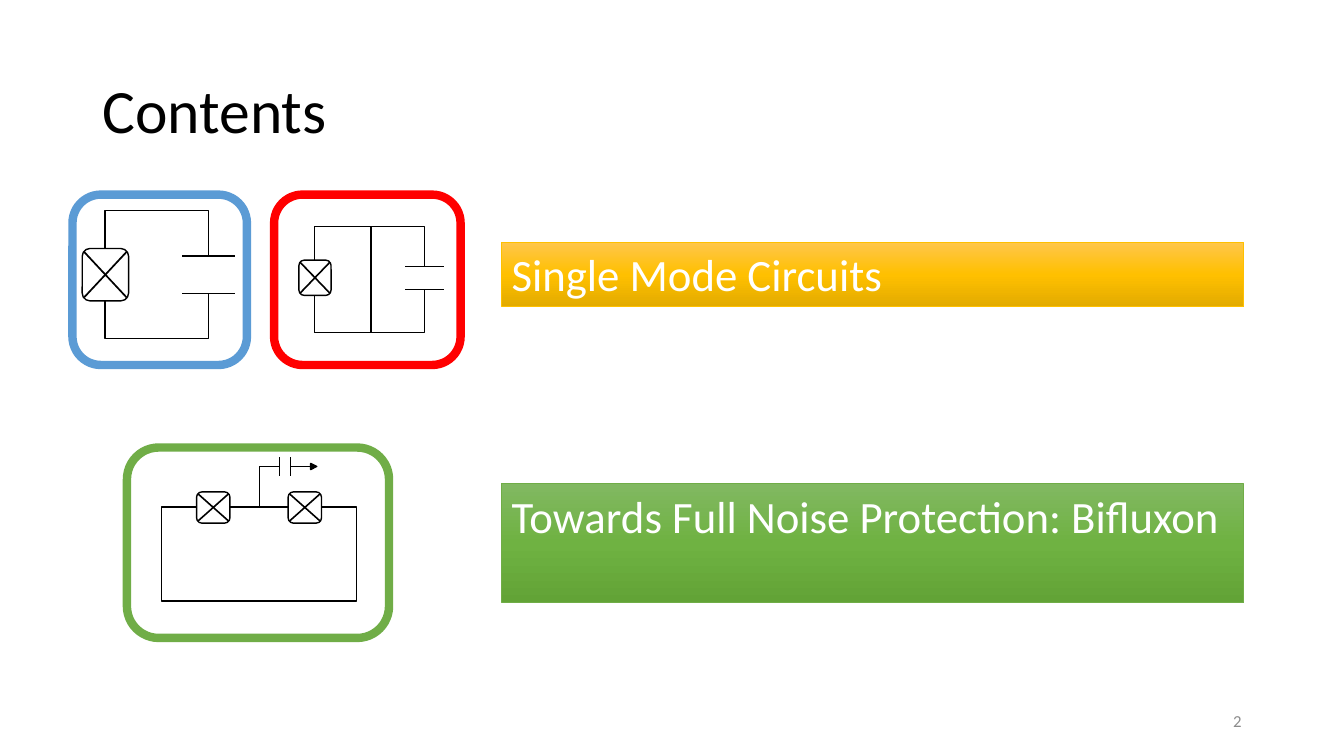
"""Build the contents slide with three circuit sketches and two topic bars."""
import copy

import pptx
import pptx.dml.color
import pptx.enum.shapes
import pptx.enum.text
import pptx.oxml.ns
import pptx.util
from lxml import etree

Pt = pptx.util.Pt
RGB = pptx.dml.color.RGBColor
SHAPE = pptx.enum.shapes.MSO_SHAPE
ANCHOR = pptx.enum.text.MSO_ANCHOR
ALIGN = pptx.enum.text.PP_ALIGN
qn = pptx.oxml.ns.qn

BLACK = RGB(0x00, 0x00, 0x00)
WHITE = RGB(0xFF, 0xFF, 0xFF)
GREY = RGB(0x8C, 0x8C, 0x8C)
BLUE = RGB(0x5B, 0x9B, 0xD5)
RED = RGB(0xFF, 0x00, 0x00)
GREEN = RGB(0x70, 0xAD, 0x47)
GOLD = RGB(0xFF, 0xC0, 0x00)
GOLD_STOPS = (RGB(0xFF, 0xC6, 0x4B), GOLD, RGB(0xE3, 0xAB, 0x00))
GREEN_STOPS = (RGB(0x81, 0xB8, 0x61), RGB(0x6F, 0xB2, 0x42), RGB(0x62, 0xA3, 0x36))


def add_text(sp, text, size, color, anchor=ANCHOR.TOP, align=ALIGN.LEFT, spacing=1.0):
    """Write one formatted line of text into a shape."""
    tf = sp.text_frame
    tf.word_wrap = True
    tf.vertical_anchor = anchor
    p = tf.paragraphs[0]
    p.alignment = align
    p.line_spacing = spacing
    r = p.add_run()
    r.text = text
    r.font.name = "Calibri"
    r.font.size = Pt(size)
    r.font.color.rgb = color


def add_box(shapes, kind, x, y, w, h, fill=WHITE, line=BLACK, weight=1):
    """Add a preset shape; None leaves out its fill or line."""
    sp = shapes.add_shape(kind, Pt(x), Pt(y), Pt(w), Pt(h))
    sp.shadow.inherit = False
    if fill is None:
        sp.fill.background()
    else:
        sp.fill.solid()
        sp.fill.fore_color.rgb = fill
    if line is None:
        sp.line.fill.background()
    else:
        sp.line.color.rgb = line
        sp.line.width = Pt(weight)
    return sp


def add_wire(shapes, x1, y1, x2, y2, weight=1):
    """Add a straight black wire."""
    c = shapes.add_connector(pptx.enum.shapes.MSO_CONNECTOR.STRAIGHT, Pt(x1), Pt(y1), Pt(x2), Pt(y2))
    c.line.color.rgb = BLACK
    c.line.width = Pt(weight)
    etree.SubElement(c._element.spPr, qn("a:effectLst"))


def add_frame(shapes, x, y, w, h, color):
    """Add the thick rounded frame around a circuit."""
    add_box(shapes, SHAPE.ROUNDED_RECTANGLE, x, y, w, h, fill=None, line=color, weight=6)


def add_junction(shapes, cx, cy, w, h):
    """Add a crossed junction centred on a point."""
    add_box(shapes, SHAPE.ROUNDED_RECTANGLE, cx - w / 2, cy - h / 2, w, h)
    cw, ch = 1.73 * w, 1.64 * h
    cross = add_box(shapes, SHAPE.MATH_MULTIPLY, cx - cw / 2, cy - ch / 2, cw, ch)
    cross.adjustments[0] = 0.004


def add_capacitor(shapes, cx, cy, plate, gap, upright=False):
    """Add two plates with a blank gap; upright plates stand side by side."""
    w, h = (gap, plate) if upright else (plate, gap)
    left, top, right, bottom = cx - w / 2, cy - h / 2, cx + w / 2, cy + h / 2
    add_box(shapes, SHAPE.RECTANGLE, left, top, w, h, line=None)
    if upright:
        add_wire(shapes, left, top, left, bottom)
        add_wire(shapes, right, top, right, bottom)
    else:
        add_wire(shapes, left, top, right, top)
        add_wire(shapes, left, bottom, right, bottom)


def add_single_mode(s, x, y, w, h, color, loop, junction, plate, gap, lift=0, divider=None):
    """Draw a framed loop with a junction on its left and a capacitor on its right."""
    shapes = s.shapes.add_group_shape().shapes
    dx, dy, lw, lh = loop
    lx, ly = x + dx, y + dy
    add_box(shapes, SHAPE.RECTANGLE, lx, ly, lw, lh)
    if divider:
        add_box(shapes, SHAPE.RECTANGLE, lx, ly, divider, lh)
    mid = ly + lh / 2 - lift
    add_junction(shapes, lx + 0.4, mid, *junction)
    add_capacitor(shapes, lx + lw, mid, plate, gap)
    add_frame(shapes, x, y, w, h, color)


def add_bifluxon(s, x, y, w, h):
    """Draw the framed loop with two junctions and a gate line."""
    shapes = s.shapes.add_group_shape().shapes
    lx, ly, lw, lh = x + 24.5, y + 42.5, 139.7, 67
    mid, gate = lx + lw / 2, ly - 29
    plate, gap = 13, 8
    left = mid + 14.4
    right = left + gap
    add_box(shapes, SHAPE.RECTANGLE, lx, ly, lw, lh)
    for side in (-1, 1):
        add_junction(shapes, mid + side * 32.7, ly + 0.3, 23.8, 22.3)
    add_wire(shapes, mid, ly, mid, gate, 0.5)
    add_wire(shapes, mid, gate, left, gate, 0.5)
    add_wire(shapes, right, gate, right + 14.4, gate, 0.5)
    add_capacitor(shapes, left + gap / 2, gate, plate, gap, upright=True)
    tip = add_box(shapes, SHAPE.ISOSCELES_TRIANGLE, right + 14.4, gate - 2.2, 4.4, 4.4, fill=BLACK)
    tip.rotation = 90
    add_frame(shapes, x, y, w, h, GREEN)


def add_topic(s, x, y, w, h, text, stops, line):
    """Add a topic bar with a vertical gradient."""
    sp = add_box(s.shapes, SHAPE.RECTANGLE, x, y, w, h, line=line, weight=0.5)
    sp.fill.gradient()
    sp.fill.gradient_angle = 270
    stop_list = sp._element.spPr.find(qn("a:gradFill")).find(qn("a:gsLst"))
    stop_list.append(copy.deepcopy(stop_list[0]))
    for i, (stop, color) in enumerate(zip(sp.fill.gradient_stops, stops)):
        stop.position = i / 2
        stop.color.rgb = color
    add_text(sp, text, 32, WHITE)


def add_label(s, x, y, w, h, text, **style):
    """Add a text box that is centred vertically."""
    sp = s.shapes.add_textbox(Pt(x), Pt(y), Pt(w), Pt(h))
    add_text(sp, text, anchor=ANCHOR.MIDDLE, **style)


def main():
    """Build and save the slide."""
    prs = pptx.Presentation()
    prs.slide_width, prs.slide_height = Pt(960), Pt(540)
    s = prs.slides.add_slide(prs.slide_layouts[6])
    add_label(s, 66, 28.75, 828, 104.4, "Contents", size=44, color=BLACK, spacing=0.9)
    add_topic(s, 358.3, 173, 530, 46, "Single Mode Circuits", GOLD_STOPS, GOLD)
    add_topic(s, 358.3, 345.6, 530, 85, "Towards Full Noise Protection: Bifluxon", GREEN_STOPS, GREEN)
    add_single_mode(s, 51.8, 139, 124.6, 121.7, BLUE, loop=(23.1, 11.5, 74.2, 91.4),
                    junction=(33.1, 37.4), plate=38, gap=26.6)
    add_single_mode(s, 195.8, 139, 133.2, 121.7, RED, loop=(28.8, 23, 78.5, 75.6),
                    junction=(23, 25.2), plate=27.4, gap=16.4, lift=1.4, divider=40.5)
    add_bifluxon(s, 90.7, 319.7, 187.2, 136)
    add_label(s, 678, 500.5, 216, 28.75, "2", size=12, color=GREY, align=ALIGN.RIGHT)
    prs.save("out.pptx")


if __name__ == "__main__":
    main()
